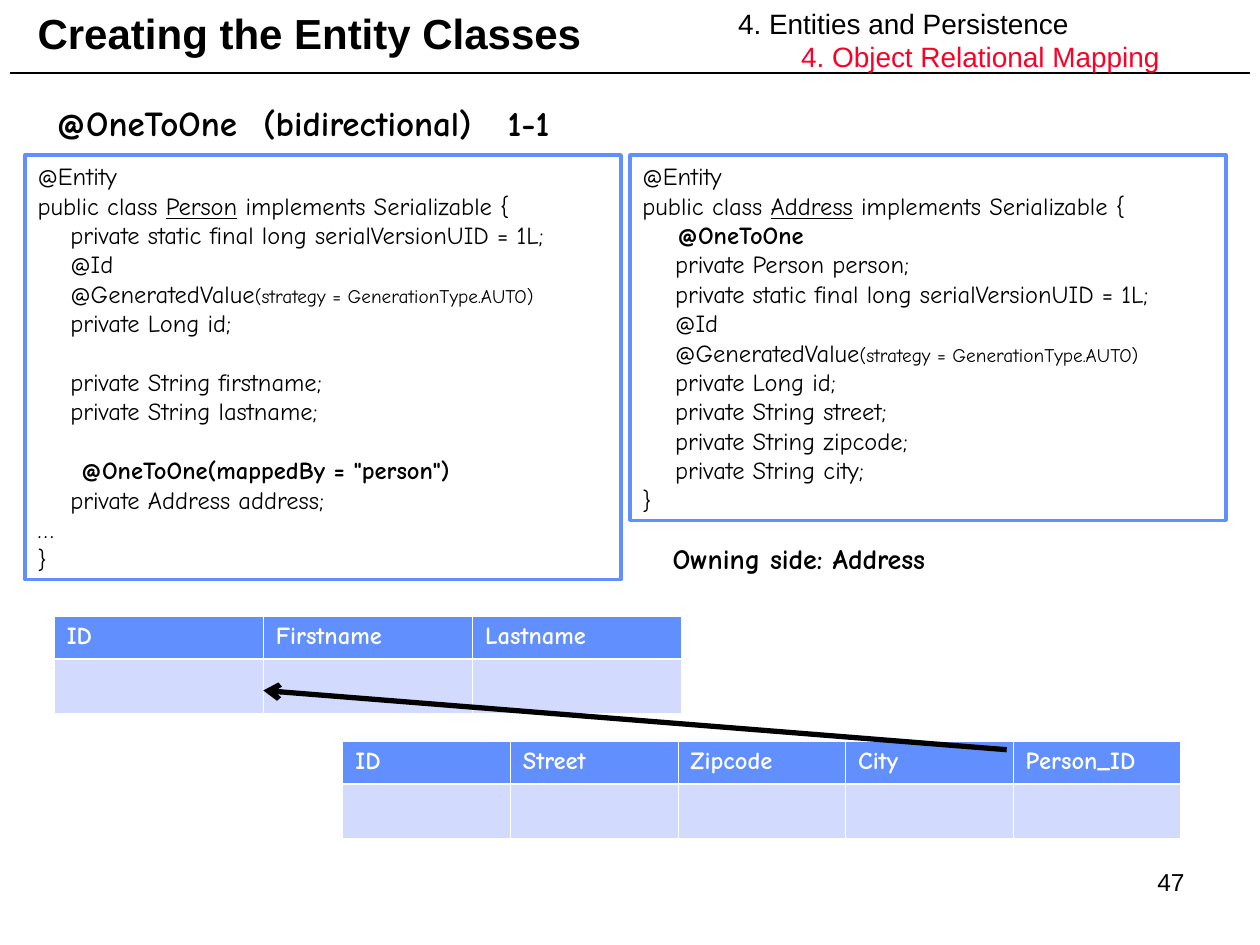
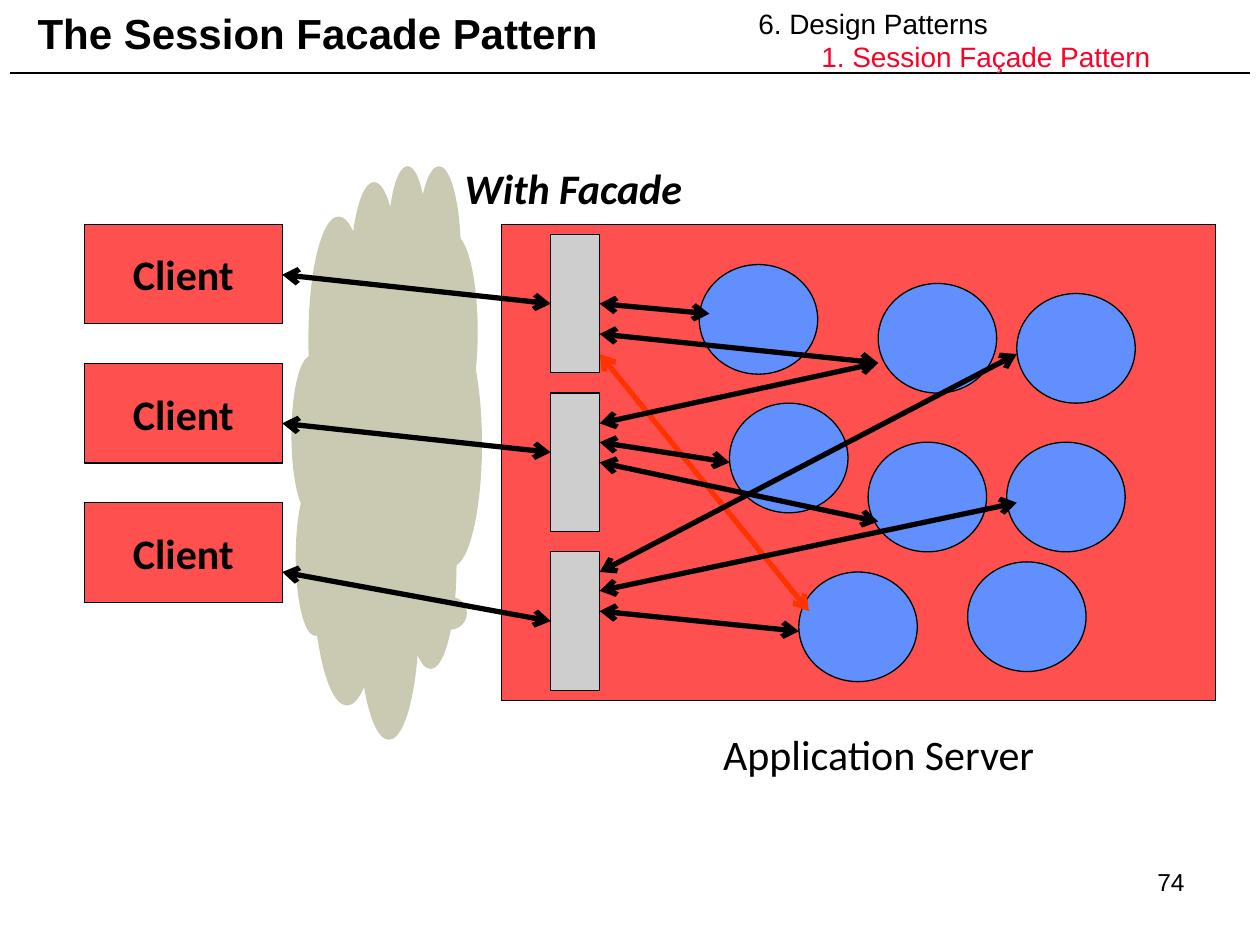
from lxml.etree import SubElement
from pptx import Presentation
from pptx.dml.color import RGBColor
from pptx.enum.shapes import MSO_CONNECTOR, MSO_SHAPE
from pptx.enum.text import MSO_ANCHOR, PP_ALIGN
from pptx.oxml import parse_xml
from pptx.oxml.ns import nsdecls, qn
from pptx.util import Inches, Pt

COLORS = {
    "black": "000000",
    "white": "FFFFFF",
    "topic": "FC0128",
    "blue": "618FFD",
    "pale_blue": "D2DBFE",
    "red": "FF5050",
    "orange": "FF3300",
    "gray": "CECECE",
    "cloud": "CACAB2",
}

# Text styles
TITLE = {"name": "Arial", "size": Pt(24), "bold": True}
TOPIC = {"name": "Arial", "size": Pt(16)}
PAGE_NUMBER = {"name": "Arial", "size": Pt(14)}
CODE = {"name": "Comic Neue", "size": Pt(14)}
TABLE_HEADER = {**CODE, "bold": True, "color": "white"}
HEADING = {**CODE, "size": Pt(20), "bold": True}
NOTE = {**CODE, "size": Pt(16), "bold": True}
LABEL = {"name": "Calibri", "size": Pt(24)}
BOLD = {"bold": True}
UNDERLINE = {"underline": True}
SMALL = {"size": Pt(11)}
BLANK_LINE = Pt(16.8)

# Code listings: a line is a string or a list of (text, format) runs
SERIAL_LINE = "    private static final long serialVersionUID = 1L;"
ID_LINES = [
    "    @Id",
    [("    @GeneratedValue", {}), ("(strategy = GenerationType.AUTO)", SMALL)],
    "    private Long id;",
]


def class_line(name):
    return [("public class ", {}), (name, UNDERLINE), (" implements Serializable {", {})]


PERSON_CODE = [
    "@Entity",
    class_line("Person"),
    SERIAL_LINE,
    *ID_LINES,
    "    private String firstname;",
    "    private String lastname;",
    [("     @OneToOne(mappedBy = \"person\")", BOLD)],
    "    private Address address;",
    "…",
    "}",
]
ADDRESS_CODE = [
    "@Entity",
    class_line("Address"),
    [("    @OneToOne", BOLD)],
    "    private Person person;",
    SERIAL_LINE,
    *ID_LINES,
    "    private String street;",
    "    private String zipcode;",
    "    private String city;",
    "}",
]

# Session facade diagram
ENTITY_POSITIONS = [
    (5.55, 2.1), (5.79, 3.2), (6.97, 2.25), (6.89, 3.51),
    (7.99, 3.51), (8.07, 2.33), (6.34, 4.54), (7.68, 4.46),
]
FACADE_LEFT, FACADE_WIDTH = 4.37, 0.39
CLIENT_LEFT, CLIENT_WIDTH = 0.67, 1.57
# Start height at the facade, end point at the entity, color
ENTITY_LINKS = [
    (2.41, (5.63, 2.49), "black"),
    (2.65, (6.97, 2.88), "black"),
    (2.81, (6.42, 4.85), "orange"),
    (3.36, (6.97, 2.88), "black"),
    (3.51, (5.79, 3.67), "black"),
    (3.67, (6.97, 4.14), "black"),
    (4.54, (8.07, 2.81), "black"),
    (4.69, (8.07, 3.99), "black"),
    (4.85, (6.34, 5.01), "black"),
]
CLIENT_LINKS = [(2.18, 2.41), (3.36, 3.59), (4.54, 4.93)]


def rgb(color):
    return RGBColor.from_string(COLORS[color])


def add_run(paragraph, text, style):
    run = paragraph.add_run()
    run.text = text
    values = {"color": "black", **style}
    run.font.color.rgb = rgb(values.pop("color"))
    for attribute, value in values.items():
        setattr(run.font, attribute, value)


def write_lines(text_frame, lines, style, **paragraph_format):
    """Write each line as a paragraph and return the paragraphs."""
    text_frame.word_wrap = True
    for index, line in enumerate(lines):
        paragraph = text_frame.add_paragraph() if index else text_frame.paragraphs[0]
        for attribute, value in paragraph_format.items():
            setattr(paragraph, attribute, value)
        runs = [(line, {})] if isinstance(line, str) else line
        for text, extra in runs:
            add_run(paragraph, text, {**style, **extra})
    return text_frame.paragraphs


def add_text(slide, box, lines, style, **paragraph_format):
    shape = slide.shapes.add_textbox(*map(Inches, box))
    write_lines(shape.text_frame, lines, style, **paragraph_format)
    return shape


def add_shape(slide, kind, box, fill=None, line="black", width=0.75):
    shape = slide.shapes.add_shape(kind, *map(Inches, box))
    shape.shadow.inherit = False
    if fill:
        shape.fill.solid()
        shape.fill.fore_color.rgb = rgb(fill)
    else:
        shape.fill.background()
    shape.line.color.rgb = rgb(line)
    shape.line.width = Pt(width)
    return shape


def add_line(slide, start, end, color="black", width=3, arrows=()):
    """Draw a line; arrows names its arrow ends: headEnd, tailEnd."""
    points = map(Inches, (*start, *end))
    connector = slide.shapes.add_connector(MSO_CONNECTOR.STRAIGHT, *points)
    connector.line.color.rgb = rgb(color)
    connector.line.width = Pt(width)
    for end_name in arrows:
        SubElement(connector.line._get_or_add_ln(), qn(f"a:{end_name}"), type="arrow")
    SubElement(connector._element.spPr, qn("a:effectLst"))


def add_code_box(slide, box, lines):
    shape = add_shape(slide, MSO_SHAPE.RECTANGLE, box, line="blue", width=2)
    shape.text_frame.vertical_anchor = MSO_ANCHOR.TOP
    return write_lines(shape.text_frame, lines, CODE, alignment=PP_ALIGN.LEFT)


def set_tabs(paragraph, positions):
    tabs = SubElement(paragraph._p.get_or_add_pPr(), qn("a:tabLst"))
    for position in positions:
        SubElement(tabs, qn("a:tab"), pos=str(Inches(position)), algn="l")


def set_cell_borders(cell, widths):
    properties = cell._tc.get_or_add_tcPr()
    for index, (side, width) in enumerate(widths.items()):
        properties.insert(index, parse_xml(
            f'<a:ln{side} {nsdecls("a")} w="{Pt(width)}"><a:solidFill>'
            f'<a:srgbClr val="{COLORS["white"]}"/></a:solidFill></a:ln{side}>'))


def add_entity_table(slide, left, top, column_width, headers):
    """Draw a header row above one empty record."""
    heights = (0.34, 0.43)
    size = (column_width * len(headers), sum(heights))
    table = slide.shapes.add_table(
        2, len(headers), *map(Inches, (left, top, *size))).table
    table.horz_banding = False
    for row, height in zip(table.rows, heights):
        row.height = Inches(height)
    for index, header in enumerate(headers):
        table.columns[index].width = Inches(column_width)
        header_cell, record_cell = table.cell(0, index), table.cell(1, index)
        write_lines(header_cell.text_frame, [header], TABLE_HEADER)
        for cell, fill, top_line, bottom_line in (
                (header_cell, "blue", 0.45, 1.47),
                (record_cell, "pale_blue", 1.47, 0.45)):
            cell.fill.solid()
            cell.fill.fore_color.rgb = rgb(fill)
            set_cell_borders(cell, {"L": 0.45, "R": 0.45, "T": top_line, "B": bottom_line})


def add_base_slide(presentation, title, topics, topic_left, number):
    """Add a slide with the shared title, topic path, rule and page number."""
    slide = presentation.slides.add_slide(presentation.slide_layouts[6])
    add_line(slide, (0.08, 0.58), (9.92, 0.58), width=1)
    title_box = add_text(slide, (0.2, 0, 5.5, 0.52), [title], TITLE)
    title_box.text_frame.vertical_anchor = MSO_ANCHOR.MIDDLE
    chapter, section = topics
    topic_box = add_text(slide, (topic_left, 0, 4, 0.64),
                         [chapter, [(section, {"color": "topic"})]], TOPIC)
    section_paragraph = topic_box.text_frame.paragraphs[1]
    section_paragraph._p.get_or_add_pPr().set("marL", str(Inches(0.5)))
    add_text(slide, (7.17, 6.83, 2.33, 0.52), [number], PAGE_NUMBER,
             alignment=PP_ALIGN.RIGHT)
    return slide


def build_entity_slide(presentation):
    slide = add_base_slide(
        presentation, "Creating the Entity Classes",
        ("4. Entities and Persistence", "4. Object Relational Mapping"), 5.76, "47")
    heading = add_text(slide, (0.35, 0.76, 8.43, 0.44),
                       ["@OneToOne\t(bidirectional)\t1-1"], HEADING)
    set_tabs(heading.text_frame.paragraphs[0], (1.64, 3.58))

    # Tables
    add_entity_table(slide, 0.43, 4.89, 1.66, ("ID", "Firstname", "Lastname"))
    add_entity_table(slide, 2.72, 5.88, 1.33,
                     ("ID", "Street", "Zipcode", "City", "Person_ID"))

    # Code
    person_lines = add_code_box(slide, (0.2, 1.23, 4.73, 3.37), PERSON_CODE)
    for index in (6, 8):
        person_lines[index].space_before = BLANK_LINE
    add_code_box(slide, (5, 1.23, 4.73, 2.9), ADDRESS_CODE)
    add_text(slide, (5.24, 4.25, 2.91, 0.37), ["Owning side: Address"], NOTE)

    # Foreign key
    add_line(slide, (7.99, 5.95), (2.09, 5.48), arrows=("tailEnd",))


def build_facade_slide(presentation):
    slide = add_base_slide(
        presentation, "The Session Facade Pattern",
        ("6. Design Patterns", "1. Session Façade Pattern"), 5.92, "74")
    both_ends = ("headEnd", "tailEnd")

    # Network and clients
    cloud = add_shape(slide, MSO_SHAPE.CLOUD_CALLOUT, (2.32, 1.31, 1.5, 4.54),
                      "cloud", "cloud")
    cloud.adjustments[0], cloud.adjustments[1] = 0.226, 0.19
    for index in range(3):
        client = add_shape(slide, MSO_SHAPE.RECTANGLE,
                           (CLIENT_LEFT, 1.78 + 1.105 * index, CLIENT_WIDTH, 0.79), "red")
        client.text_frame.vertical_anchor = MSO_ANCHOR.MIDDLE
        write_lines(client.text_frame, ["Client"], {**LABEL, **BOLD},
                    alignment=PP_ALIGN.CENTER)

    # Application server and entities
    add_shape(slide, MSO_SHAPE.RECTANGLE, (3.98, 1.78, 5.67, 3.78), "red")
    add_text(slide, (5.64, 5.73, 2.8, 0.5), ["Application Server"], LABEL)
    add_text(slide, (3.59, 1.24, 2.1, 0.5), ["With Facade"],
             {**LABEL, **BOLD, "italic": True})
    for left, top in ENTITY_POSITIONS:
        add_shape(slide, MSO_SHAPE.OVAL, (left, top, 0.94, 0.87), "blue")

    # Facades and links
    for start_y, end, color in ENTITY_LINKS:
        add_line(slide, (FACADE_LEFT + FACADE_WIDTH, start_y), end, color, arrows=both_ends)
    for index in range(3):
        add_shape(slide, MSO_SHAPE.RECTANGLE,
                  (FACADE_LEFT, 1.86 + 1.26 * index, FACADE_WIDTH, 1.1), "gray")
    for client_y, facade_y in CLIENT_LINKS:
        add_line(slide, (CLIENT_LEFT + CLIENT_WIDTH, client_y),
                 (FACADE_LEFT, facade_y), arrows=both_ends)


def main():
    presentation = Presentation()
    presentation.slide_width = Inches(10)
    presentation.slide_height = Inches(7.5)
    build_entity_slide(presentation)
    build_facade_slide(presentation)
    presentation.save("out.pptx")


if __name__ == "__main__":
    main()
